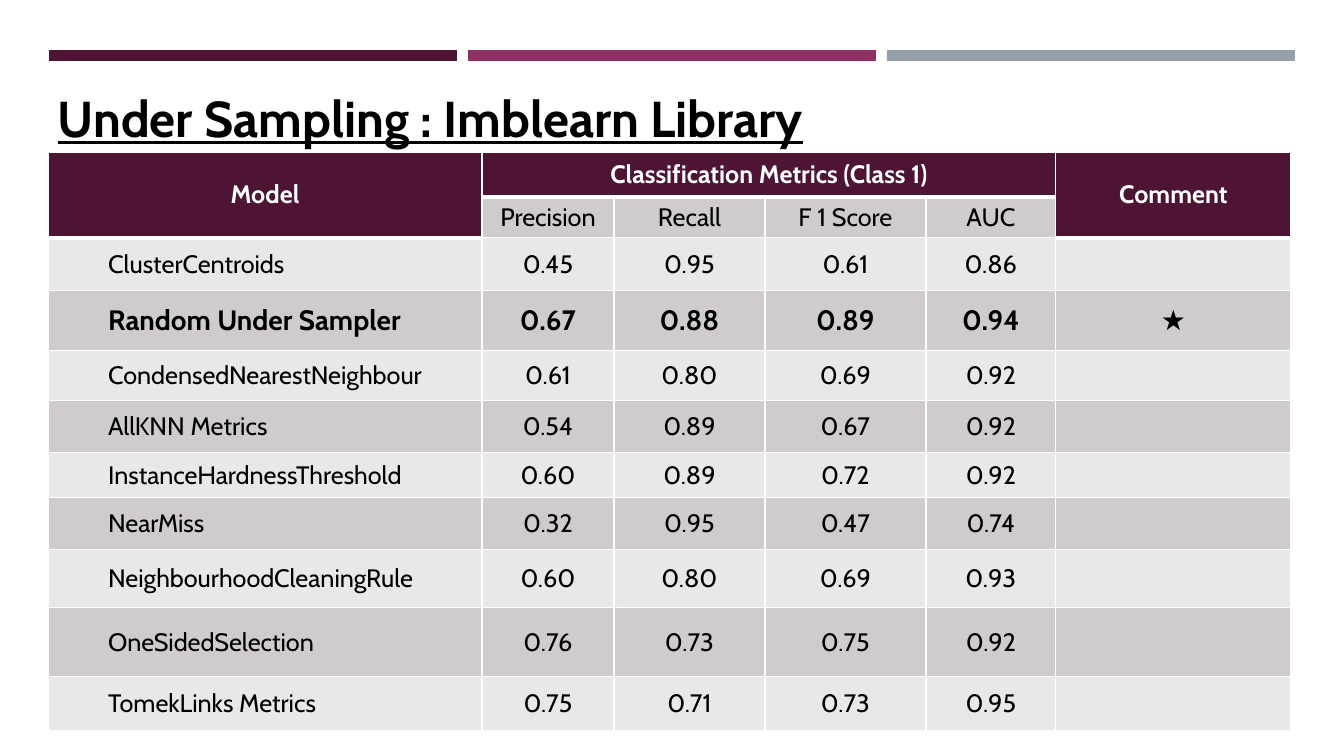
from lxml import etree
from pptx import Presentation, util as u
from pptx.dml.color import RGBColor
from pptx.enum import shapes, text
from pptx.oxml import ns

# Content
TITLE = "Under Sampling : Imblearn Library"
HEADS = {0: "Model", 1: "Classification Metrics (Class 1)", 5: "Comment"}
METRICS = ["Precision", "Recall", "F 1 Score", "AUC"]
MODELS = [
    ("ClusterCentroids", "0.45", "0.95", "0.61", "0.86", ""),
    ("Random Under Sampler", "0.67", "0.88", "0.89", "0.94", "★"),
    ("CondensedNearestNeighbour", "0.61", "0.80", "0.69", "0.92", ""),
    ("AllKNN Metrics", "0.54", "0.89", "0.67", "0.92", ""),
    ("InstanceHardnessThreshold", "0.60", "0.89", "0.72", "0.92", ""),
    ("NearMiss", "0.32", "0.95", "0.47", "0.74", ""),
    ("NeighbourhoodCleaningRule", "0.60", "0.80", "0.69", "0.93", ""),
    ("OneSidedSelection", "0.76", "0.73", "0.75", "0.92", ""),
    ("TomekLinks Metrics", "0.75", "0.71", "0.73", "0.95", ""),
]
BEST = 1
COLORS = {"plum": "4D1434", "berry": "903163", "slate": "969FA7",
          "dark": "D0CCCE", "light": "E9E7E8", "black": "000000", "white": "FFFFFF"}
FONT = "Cabin"

# Layout in px
SCALE = 914400 / 100.8
COLS = [434, 132, 151, 161, 130, 235]
ROWS = [45, 38, 53, 60, 50, 52, 45, 52, 58, 69, 54]
LEFT, TOP = 48, 152
BAR_W, BAR_GAP = 408, 11
INDENT = 50


def px(n):
    return u.Emu(round(n * SCALE))


def rgb(name):
    return RGBColor.from_string(COLORS[name])


def write(frame, words, size=18, color="black", bold=False, line=False,
          align=text.PP_ALIGN.CENTER, indent=0):
    para = frame.paragraphs[0]
    para.alignment = align
    if indent:
        para._p.get_or_add_pPr().set("marL", str(px(indent)))
    run = para.add_run()
    run.text = words
    font = run.font
    font.name, font.size, font.bold, font.underline = FONT, u.Pt(size), bold, line
    font.color.rgb = rgb(color)


def border(cell, sides):
    props = cell._tc.get_or_add_tcPr()
    for spot, (side, width) in enumerate(sides.items()):
        ln = etree.Element(ns.qn(f"a:ln{side}"), w=str(u.Pt(width)))
        fill = etree.SubElement(ln, ns.qn("a:solidFill"))
        etree.SubElement(fill, ns.qn("a:srgbClr"), val=COLORS["white"])
        props.insert(spot, ln)


def main():
    deck = Presentation()
    deck.slide_width, deck.slide_height = px(1344), px(756)
    slide = deck.slides.add_slide(deck.slide_layouts[6])

    # Top bars
    for i, color in enumerate(["plum", "berry", "slate"]):
        bar = slide.shapes.add_shape(shapes.MSO_SHAPE.RECTANGLE,
                                     px(49 + i * (BAR_W + BAR_GAP)), px(50), px(BAR_W), px(11))
        bar.shadow.inherit = False
        bar.fill.solid()
        bar.fill.fore_color.rgb = rgb(color)
        bar.line.fill.background()

    # Table grid
    table = slide.shapes.add_table(len(ROWS), len(COLS), px(LEFT), px(TOP),
                                   px(sum(COLS)), px(sum(ROWS))).table
    table.first_row = table.horz_banding = False
    for col, width in zip(table.columns, COLS):
        col.width = px(width)
    for row, height in zip(table.rows, ROWS):
        row.height = px(height)

    # Cell fills and borders
    for r in range(len(ROWS)):
        for c in range(len(COLS)):
            cell = table.cell(r, c)
            head = r == 0 or (r == 1 and c in (0, 5))
            cell.fill.solid()
            cell.fill.fore_color.rgb = rgb("plum" if head else "dark" if r % 2 else "light")
            cell.vertical_anchor = text.MSO_ANCHOR.MIDDLE
            sides = {"L": 1, "R": 1}
            if r == 0:
                sides["T"] = 1
            border(cell, sides | {"B": 3 if head else 1})

    # Header text
    for c, end in [(0, (1, 0)), (1, (0, 4)), (5, (1, 5))]:
        table.cell(0, c).merge(table.cell(*end))
        write(table.cell(0, c).text_frame, HEADS[c], color="white", bold=True)
    for c, name in enumerate(METRICS, 1):
        write(table.cell(1, c).text_frame, name)

    # Model rows
    for i, model in enumerate(MODELS):
        look = {"size": 20, "bold": True} if i == BEST else {}
        for c, words in enumerate(model):
            if words:
                place = {"align": text.PP_ALIGN.LEFT, "indent": INDENT} if c == 0 else {}
                write(table.cell(i + 2, c).text_frame, words, **look, **place)

    # Title
    box = slide.shapes.add_textbox(px(LEFT), px(82), px(1090), px(71))
    box.text_frame.word_wrap = True
    write(box.text_frame, TITLE, size=36, bold=True, line=True, align=text.PP_ALIGN.LEFT)

    deck.save("out.pptx")


if __name__ == "__main__":
    main()
